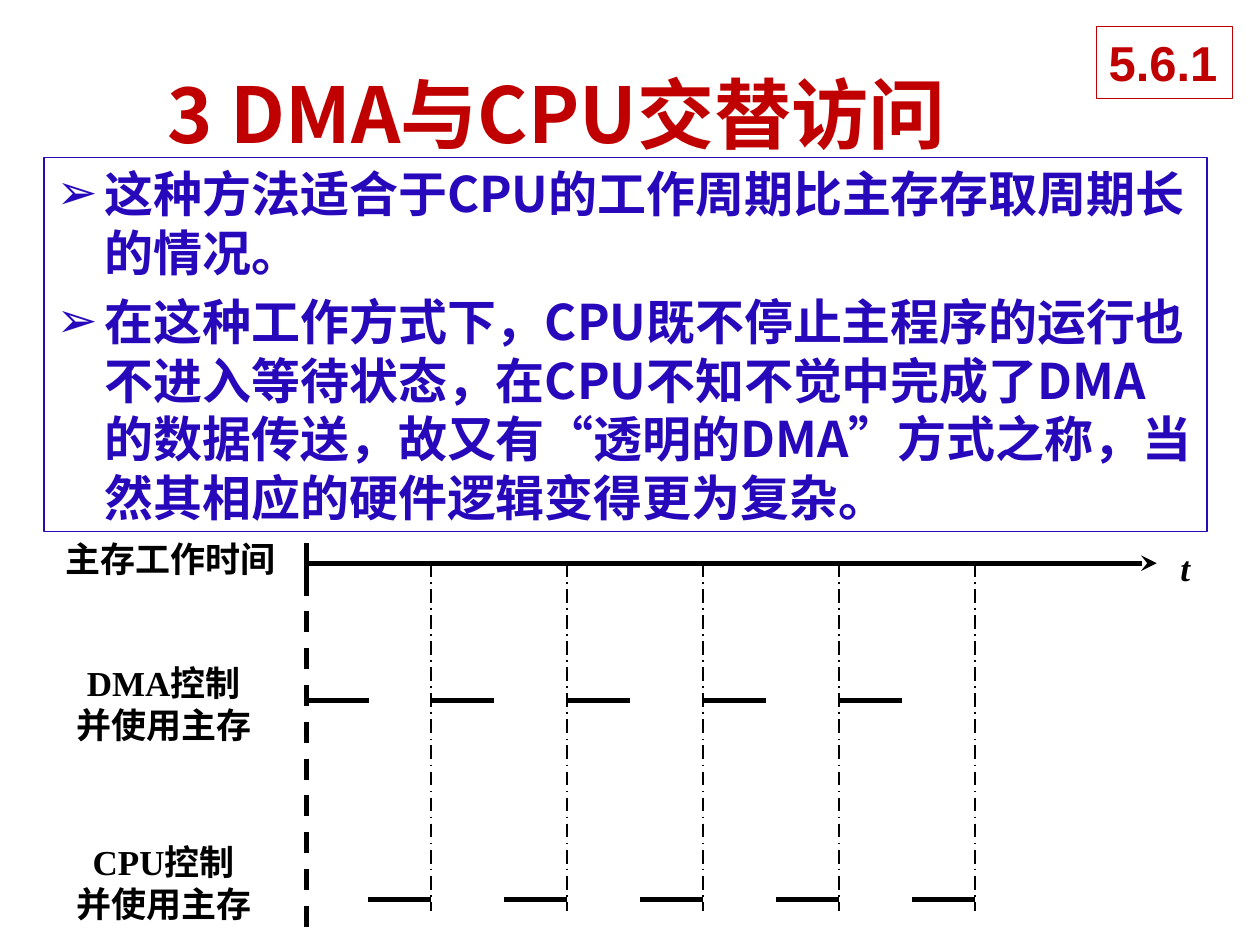
import pptx
import pptx.util
import pptx.dml.color
import pptx.enum.dml
import pptx.enum.shapes
import pptx.enum.text
import pptx.oxml.ns
from lxml import etree

Inches, Pt, qn = pptx.util.Inches, pptx.util.Pt, pptx.oxml.ns.qn
DASH = pptx.enum.dml.MSO_LINE
ALIGN = pptx.enum.text.PP_ALIGN
AUTO = pptx.enum.text.MSO_AUTO_SIZE
CJK, RED, BLUE, BLACK, WHITE = "Noto Sans CJK SC", "C00000", "2709BB", "000000", "FFFFFF"
rgb = pptx.dml.color.RGBColor.from_string


def write(sp, lines, size, font, color, align=ALIGN.LEFT, spacing=None):
    tf = sp.text_frame
    tf.text = "\n".join(lines)
    for p in tf.paragraphs:
        p.alignment, p.line_spacing = align, spacing
        p.font.size, p.font.bold, p.font.name = Pt(size), True, font
        p.font.color.rgb = rgb(color)
        rpr = p._p.pPr.find(qn("a:defRPr"))
        etree.SubElement(rpr, qn("a:ea"), typeface=CJK)
    return tf


def line(x1, y1, x2, y2, width=3, dash=None):
    c = g.shapes.add_connector(pptx.enum.shapes.MSO_CONNECTOR.STRAIGHT,
                               Inches(x1), Inches(y1), Inches(x2), Inches(y2))
    c.line.color.rgb, c.line.width, c.line.dash_style = rgb(BLACK), Pt(width), dash
    etree.SubElement(c._element.spPr, qn("a:effectLst"))
    return c


prs = pptx.Presentation()
prs.slide_width, prs.slide_height = Inches(10), Inches(7.5)
s = prs.slides.add_slide(prs.slide_layouts[1])

title, body = s.shapes.title, s.placeholders[1]
title.left, title.top, title.width, title.height = map(Inches, (1.23, 0.48, 8.42, 0.83))
tf = write(title, ["3 DMA与CPU交替访问"], 44, CJK, RED)
tf.vertical_anchor = pptx.enum.text.MSO_ANCHOR.MIDDLE
tf.auto_size = AUTO.NONE

body.left, body.top, body.width, body.height = map(Inches, (0.35, 1.25, 9.23, 2.97))
tf = write(body, [
    "这种方法适合于CPU的工作周期比主存存取周期长的情况。",
    "在这种工作方式下，CPU既不停止主程序的运行也不进入等待状态，在CPU不知不觉中完成了"
    "DMA的数据传送，故又有“透明的DMA”方式之称，当然其相应的硬件逻辑变得更为复杂。",
], 28, CJK, BLUE, spacing=Pt(33.5))
tf.auto_size = AUTO.NONE
for p in tf.paragraphs:
    p.space_before = Pt(6)
    ppr = p._p.pPr
    ppr.set("marL", str(Inches(0.38)))
    ppr.set("indent", str(Inches(-0.38)))
    bullet = etree.Element(qn("a:buChar"), char="➢")
    ppr.find(qn("a:defRPr")).addprevious(bullet)

g = s.shapes.add_group_shape()
labels = [
    (0.42, 4.22, 1.88, 0.43, ["主存工作时间"], ALIGN.LEFT),
    (0.5, 5.2, 1.6, 0.77, ["DMA控制", "并使用主存"], ALIGN.CENTER),
    (0.5, 6.62, 1.6, 0.77, ["CPU控制", "并使用主存"], ALIGN.CENTER),
    (9.27, 4.29, 0.28, 0.43, ["t"], ALIGN.LEFT),
]
for x, y, w, h, lines, align in labels:
    sp = g.shapes.add_textbox(Inches(x), Inches(y), Inches(w), Inches(h))
    tf = write(sp, lines, 20, "Times New Roman", BLACK, align, Pt(24))
    tf.word_wrap, tf.auto_size = False, AUTO.SHAPE_TO_FIT_TEXT
tf.paragraphs[0].font.italic = True

start, axis, dma, cpu = 2.43, 4.47, 5.56, 7.14
first, period, busy = 3.42, 1.08, 0.5
line(start, 4.31, start, 4.72)
arrow = line(start, axis, 9.18, axis)
etree.SubElement(arrow.line._get_or_add_ln(), qn("a:tailEnd"), type="stealth")
line(start, 4.56, start, 7.39, dash=DASH.DASH)
for i in range(5):
    tick = first + i * period
    x = tick - period if i else start
    line(x, dma, x + busy, dma)
    line(tick - busy, cpu, tick, cpu)
    line(tick, axis, tick, 7.23, 1, DASH.LONG_DASH_DOT)

section = s.shapes.add_shape(pptx.enum.shapes.MSO_SHAPE.RECTANGLE,
                             Inches(8.7), Inches(0.21), Inches(1.08), Inches(0.57))
section.shadow.inherit = False
tf = write(section, ["5.6.1"], 28, "Arial", RED)
tf.word_wrap, tf.auto_size = False, AUTO.SHAPE_TO_FIT_TEXT

for sp, color in ((body, BLUE), (section, RED)):
    sp.fill.solid()
    sp.fill.fore_color.rgb = rgb(WHITE)
    sp.line.color.rgb, sp.line.width = rgb(color), Pt(0.75)

prs.save("out.pptx")
